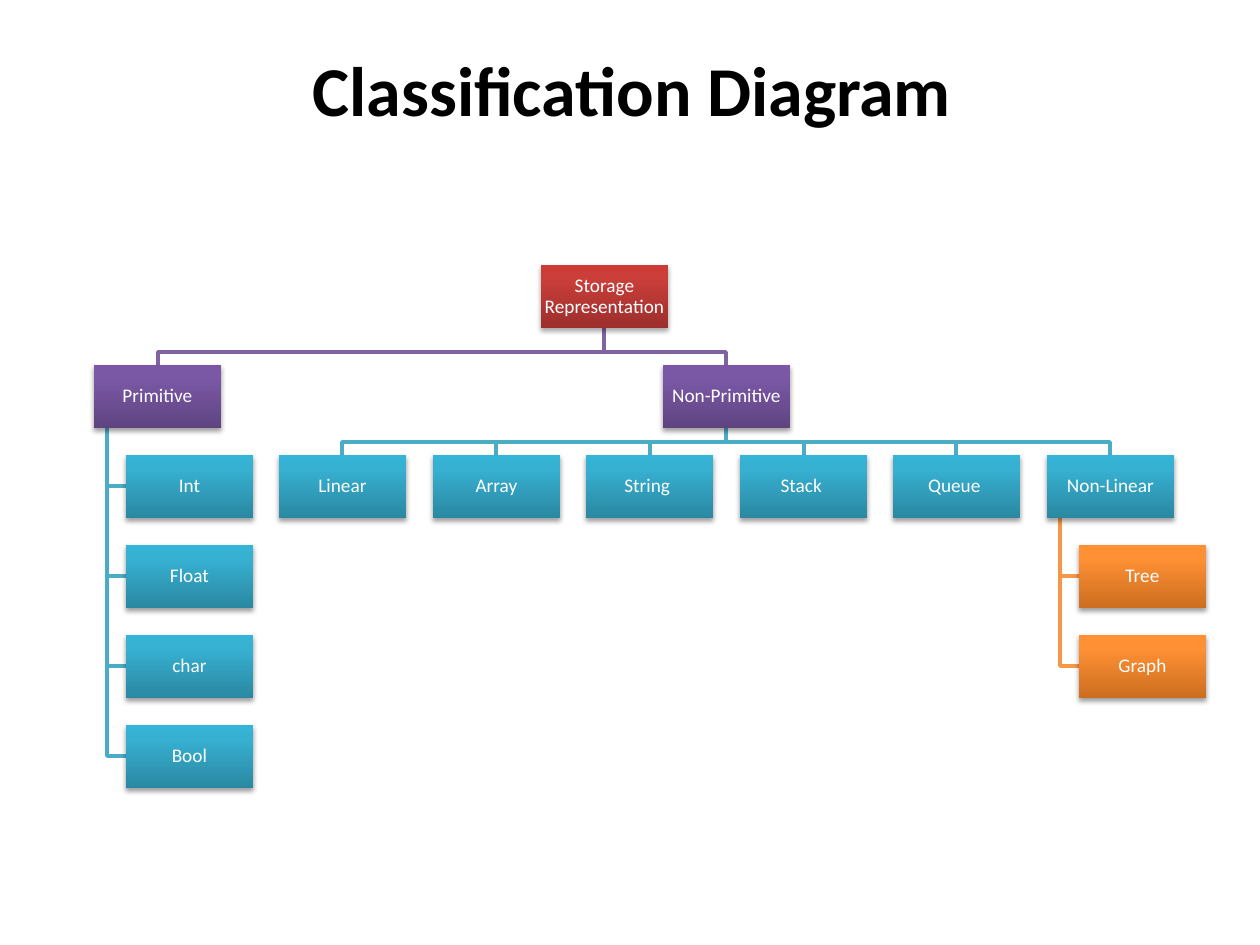
import pptx
import pptx.util
import pptx.dml.color
import pptx.enum.shapes
import pptx.enum.text
import pptx.oxml
import pptx.oxml.ns
from lxml import etree

TITLE = "Classification Diagram"
ROOT = "Storage Representation"
KINDS = ("Primitive", "Non-Primitive")
TYPES = ("Int", "Float", "char", "Bool")
FORMS = ("Linear", "Array", "String ", "Stack ", "Queue ", "Non-Linear")
NETS = ("Tree", "Graph")

THEME = {
    "font": "Calibri", "title": 40, "label": 11, "line": 2,
    "ink": "000000", "pale": "FFFFFF",
    "red": {"fill": ("9C2F2D", "CB3E3A", "CE3B37"), "shade": (35, 1.8)},
    "plum": {"fill": ("5F4480", "7B58A6", "7C57A8"), "line": "8064A2", "shade": (38, 1.6)},
    "teal": {"fill": ("2A88A2", "37B1D2", "34B4D6"), "line": "4BACC6", "shade": (38, 1.6)},
    "gold": {"fill": ("CC6E20", "FF9034", "FF9136"), "line": "F79646", "shade": (38, 1.6)},
}
STOPS = (0, 80, 100)
SCALE = 914400 / 126
WIDE, HIGH = 127, 63
TOP, NEXT, GRID = 265, 365, 455
LEFT, STEP, DROP = 126, 307, 90
STEM = 13

deck = pptx.Presentation()
deck.slide_width = pptx.util.Inches(10)
deck.slide_height = pptx.util.Inches(7.5)
page = deck.slides.add_slide(deck.slide_layouts[6])
shapes = page.shapes


def emu(*sides):
    return [round(side * SCALE) for side in sides]


def tint(code):
    return pptx.dml.color.RGBColor.from_string(code)


def add(root, tag, **items):
    return etree.SubElement(root, pptx.oxml.ns.qn(tag), {k: str(v) for k, v in items.items()})


def write(shape, words, size, code, bold=False):
    frame = shape.text_frame
    frame.word_wrap = True
    line = frame.paragraphs[0]
    line.alignment = pptx.enum.text.PP_ALIGN.CENTER
    run = line.add_run()
    run.text = words
    run.font.name = THEME["font"]
    run.font.size = pptx.util.Pt(size)
    run.font.bold = bold
    run.font.color.rgb = tint(code)
    return frame


def shade(shape, alpha, dist):
    shape.shadow.inherit = False
    root = shape._element.spPr.find(pptx.oxml.ns.qn("a:effectLst"))
    cast = add(root, "a:outerShdw", blurRad=pptx.util.Pt(3.1), dist=pptx.util.Pt(dist),
               dir=90 * 60000, rotWithShape=0)
    add(add(cast, "a:srgbClr", val=THEME["ink"]), "a:alpha", val=alpha * 1000)


def box(words, spot, hue):
    look = THEME[hue]
    shape = shapes.add_shape(pptx.enum.shapes.MSO_SHAPE.RECTANGLE, *emu(*spot, WIDE, HIGH))
    shape.fill.gradient()
    shape.fill.gradient_angle = 90
    stops = shape._element.spPr.find(".//" + pptx.oxml.ns.qn("a:gsLst"))
    for old in list(stops):
        stops.remove(old)
    for place, code in zip(STOPS, look["fill"]):
        add(add(stops, "a:gs", pos=place * 1000), "a:srgbClr", val=code)
    shape.line.fill.background()
    shade(shape, *look["shade"])
    frame = write(shape, words, THEME["label"], THEME["pale"])
    frame.vertical_anchor = pptx.enum.text.MSO_ANCHOR.MIDDLE
    frame.margin_left = frame.margin_right = frame.margin_top = frame.margin_bottom = emu(1)[0]
    frame.paragraphs[0].line_spacing = 0.9


def link(points, hue):
    form = shapes.build_freeform(*points[0], scale=SCALE)
    form.add_line_segments(points[1:], close=False)
    shape = form.convert_to_shape()
    shape.fill.background()
    shape.line.color.rgb = tint(THEME[hue]["line"])
    shape.line.width = pptx.util.Pt(THEME["line"])
    shape.shadow.inherit = False


def fork(head, kids, hue):
    mid, base = head[0] + WIDE / 2, head[1] + HIGH
    for left, top in kids:
        end = left + WIDE / 2
        link([(mid, base), (mid, top - STEM), (end, top - STEM), (end, top)], hue)


def hang(head, kids, hue):
    side, base = head[0] + STEM, head[1] + HIGH
    for left, top in kids:
        mid = top + HIGH / 2
        link([(side, base), (side, mid), (left, mid)], hue)


def stack(left, top, count):
    return [(left, top + DROP * i) for i in range(count)]


root = (541, TOP)
kinds = [(94, NEXT), (663, NEXT)]
types = stack(LEFT, GRID, len(TYPES))
forms = [(LEFT + STEP * i // 2, GRID) for i in range(1, len(FORMS) + 1)]
nets = stack(forms[-1][0] + 32, GRID + DROP, len(NETS))

hang(forms[-1], nets, "gold")
fork(kinds[1], forms, "teal")
hang(kinds[0], types, "teal")
fork(root, kinds, "plum")

for names, spots, hue in (
    ((ROOT,), (root,), "red"),
    (KINDS, kinds, "plum"),
    (TYPES, types, "teal"),
    (FORMS, forms, "teal"),
    (NETS, nets, "gold"),
):
    for name, spot in zip(names, spots):
        box(name, spot, hue)

head = shapes.add_textbox(*emu(52, 40, 1160, 97))
frame = write(head, TITLE, THEME["title"], THEME["ink"], bold=True)
frame.auto_size = pptx.enum.text.MSO_AUTO_SIZE.SHAPE_TO_FIT_TEXT

deck.save("out.pptx")
